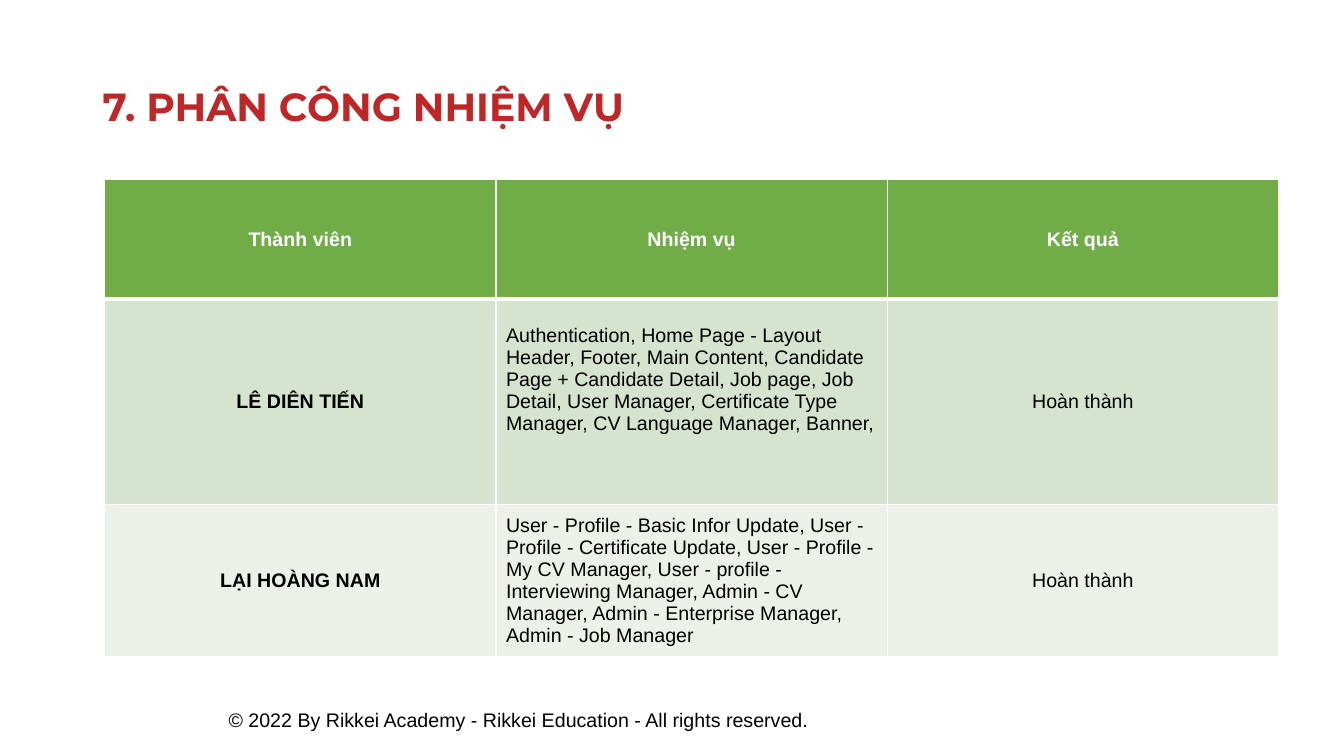
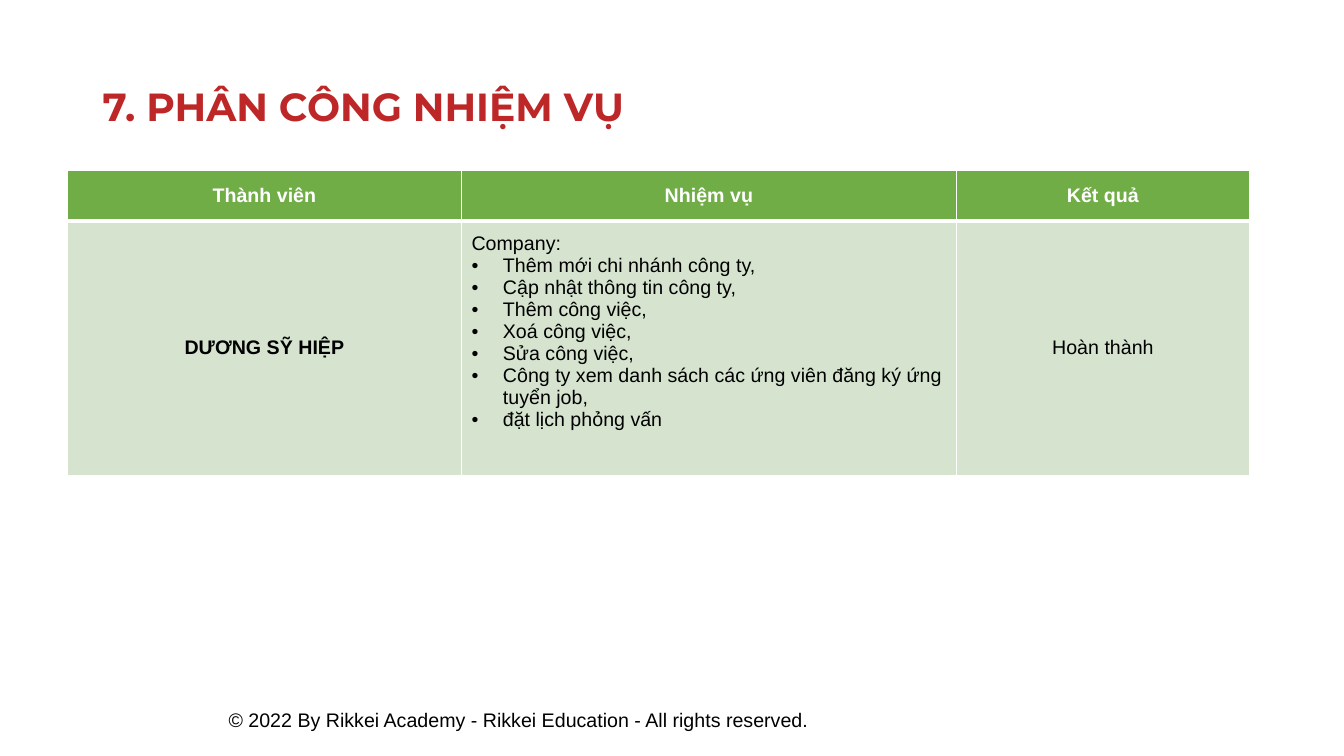
from dataclasses import dataclass

from lxml import etree
from pptx import Presentation
from pptx.dml.color import RGBColor
from pptx.enum.text import MSO_ANCHOR, PP_ALIGN
from pptx.oxml.ns import qn
from pptx.util import Cm, Pt

MIDDLE, TOP = MSO_ANCHOR.MIDDLE, MSO_ANCHOR.TOP
LEFT, CENTER = PP_ALIGN.LEFT, PP_ALIGN.CENTER

COLORS = {
    "title": "BE2727",
    "text": "000000",
    "header": "70AD47",
    "odd_row": "D5E3CF",
    "even_row": "EBF1E9",
    "white": "FFFFFF",
}
BODY_FONT, TITLE_FONT = "Arial", "Montserrat"
BODY_SIZE, TITLE_SIZE = 14, 28
TITLE = "7. PHÂN CÔNG NHIỆM VỤ"
FOOTER = "© 2022 By Rikkei Academy - Rikkei Education - All rights reserved."
HEADINGS = ("Thành viên", "Nhiệm vụ", "Kết quả")
DONE = "Hoàn thành"
BULLET_INDENT = Cm(0.79)


@dataclass
class Member:
    name: str
    tasks: str
    height: float
    bullets: tuple[str, ...] = ()
    bottom: float = 0.13  # margin under the task text, in cm


@dataclass
class TaskTable:
    left: float
    top: float
    widths: tuple[float, ...]
    header_height: float
    members: tuple[Member, ...]


TABLES = (
    TaskTable(2.64, 4.52, (9.86,) * 3, 3.02, (
        Member(
            "LÊ DIÊN TIẾN",
            "Authentication, Home Page - Layout Header, Footer, Main Content, "
            "Candidate Page + Candidate Detail, Job page, Job Detail, User Manager, "
            "Certificate Type Manager, CV Language Manager, Banner,",
            5.18, bottom=1.25),
        Member(
            "LẠI HOÀNG NAM",
            "User - Profile - Basic Infor Update, User - Profile - Certificate Update, "
            "User - Profile - My CV Manager, User - profile - Interviewing Manager, "
            "Admin - CV Manager, Admin - Enterprise Manager, Admin - Job Manager",
            3.58),
    )),
    TaskTable(1.7, 4.29, (9.93, 12.47, 7.39), 1.27, (
        Member(
            "DƯƠNG SỸ HIỆP", "Company:", 6.05,
            ("Thêm mới chi nhánh công ty,",
             "Cập nhật thông tin công ty,",
             "Thêm công việc,",
             "Xoá công việc,",
             "Sửa công việc,",
             "Công ty xem danh sách các ứng viên đăng ký ứng tuyển job,",
             "đặt lịch phỏng vấn"),
            bottom=0.95),
    )),
)


def rgb(name: str) -> RGBColor:
    return RGBColor.from_string(COLORS[name])


def add_run(p, text: str, color: str = "text", bold: bool = False,
            size: int = BODY_SIZE, font: str = BODY_FONT) -> None:
    r = p.add_run()
    r.text = text
    r.font.size, r.font.name, r.font.bold = Pt(size), font, bold
    r.font.color.rgb = rgb(color)


def add_box(slide, left: float, top: float, width: float, height: float,
            inset: float, anchor):
    """Add an empty text box and return its first paragraph."""
    tf = slide.shapes.add_textbox(Cm(left), Cm(top), Cm(width), Cm(height)).text_frame
    tf.word_wrap = True
    tf.vertical_anchor = anchor
    tf.margin_left = tf.margin_right = Cm(0.25)
    tf.margin_top = tf.margin_bottom = Cm(inset)
    return tf.paragraphs[0]


def add_bullet(p) -> None:
    pPr = p._p.get_or_add_pPr()
    pPr.set("marL", str(BULLET_INDENT))
    pPr.set("indent", str(-BULLET_INDENT))
    clr = etree.SubElement(pPr, qn("a:buClr"))
    etree.SubElement(clr, qn("a:srgbClr"), val=COLORS["text"])
    etree.SubElement(pPr, qn("a:buFont"), typeface=BODY_FONT)
    etree.SubElement(pPr, qn("a:buChar"), char="•")


def style_cell(cell, fill: str, top: float = 1, bottom: float = 1) -> None:
    """Set borders (widths in points), fill and anchor."""
    tcPr = cell._tc.get_or_add_tcPr()
    for side, width in (("L", 1), ("R", 1), ("T", top), ("B", bottom)):
        ln = etree.SubElement(tcPr, qn(f"a:ln{side}"), w=str(Pt(width)))
        solid = etree.SubElement(ln, qn("a:solidFill"))
        etree.SubElement(solid, qn("a:srgbClr"), val=COLORS["white"])
    cell.fill.solid()
    cell.fill.fore_color.rgb = rgb(fill)
    cell.vertical_anchor = MIDDLE


def write_cell(cell, text: str, color: str = "text", bold: bool = False,
               align=CENTER) -> None:
    p = cell.text_frame.paragraphs[0]
    p.alignment = align
    add_run(p, text, color, bold)


def add_task_table(slide, spec_table: TaskTable) -> None:
    heights = [spec_table.header_height] + [m.height for m in spec_table.members]
    table = slide.shapes.add_table(
        len(heights), len(HEADINGS), Cm(spec_table.left), Cm(spec_table.top),
        Cm(sum(spec_table.widths)), Cm(sum(heights))).table
    for column, width in zip(table.columns, spec_table.widths):
        column.width = Cm(width)
    for row, height in zip(table.rows, heights):
        row.height = Cm(height)

    # Header row
    for cell, heading in zip(table.rows[0].cells, HEADINGS):
        style_cell(cell, "header", bottom=3)
        write_cell(cell, heading, "white", True)

    # One row per member
    for i, member in enumerate(spec_table.members, 1):
        cells = list(table.rows[i].cells)
        for cell in cells:
            style_cell(cell, "odd_row" if i % 2 else "even_row", top=3 if i == 1 else 1)
        name, tasks, result = cells
        write_cell(name, member.name, bold=True)
        write_cell(tasks, member.tasks, align=LEFT)
        write_cell(result, DONE)
        tasks.margin_bottom = Cm(member.bottom)
        for bullet in member.bullets:
            p = tasks.text_frame.add_paragraph()
            add_bullet(p)
            add_run(p, bullet)


def add_frame(slide) -> None:
    """Draw the footer and title that every slide shares."""
    add_run(add_box(slide, 5.51, 17.6, 19.79, 1.12, 0.25, TOP), FOOTER)
    p = add_box(slide, 2.34, 1.42, 23.52, 2.62, 0.13, MIDDLE)
    p.line_spacing = 0.9
    add_run(p, TITLE, "title", True, TITLE_SIZE, TITLE_FONT)


def main() -> None:
    prs = Presentation()
    prs.slide_width, prs.slide_height = Cm(33.87), Cm(19.05)
    for task_table in TABLES:
        slide = prs.slides.add_slide(prs.slide_layouts[6])
        add_frame(slide)
        add_task_table(slide, task_table)
    prs.save("out.pptx")


if __name__ == "__main__":
    main()
